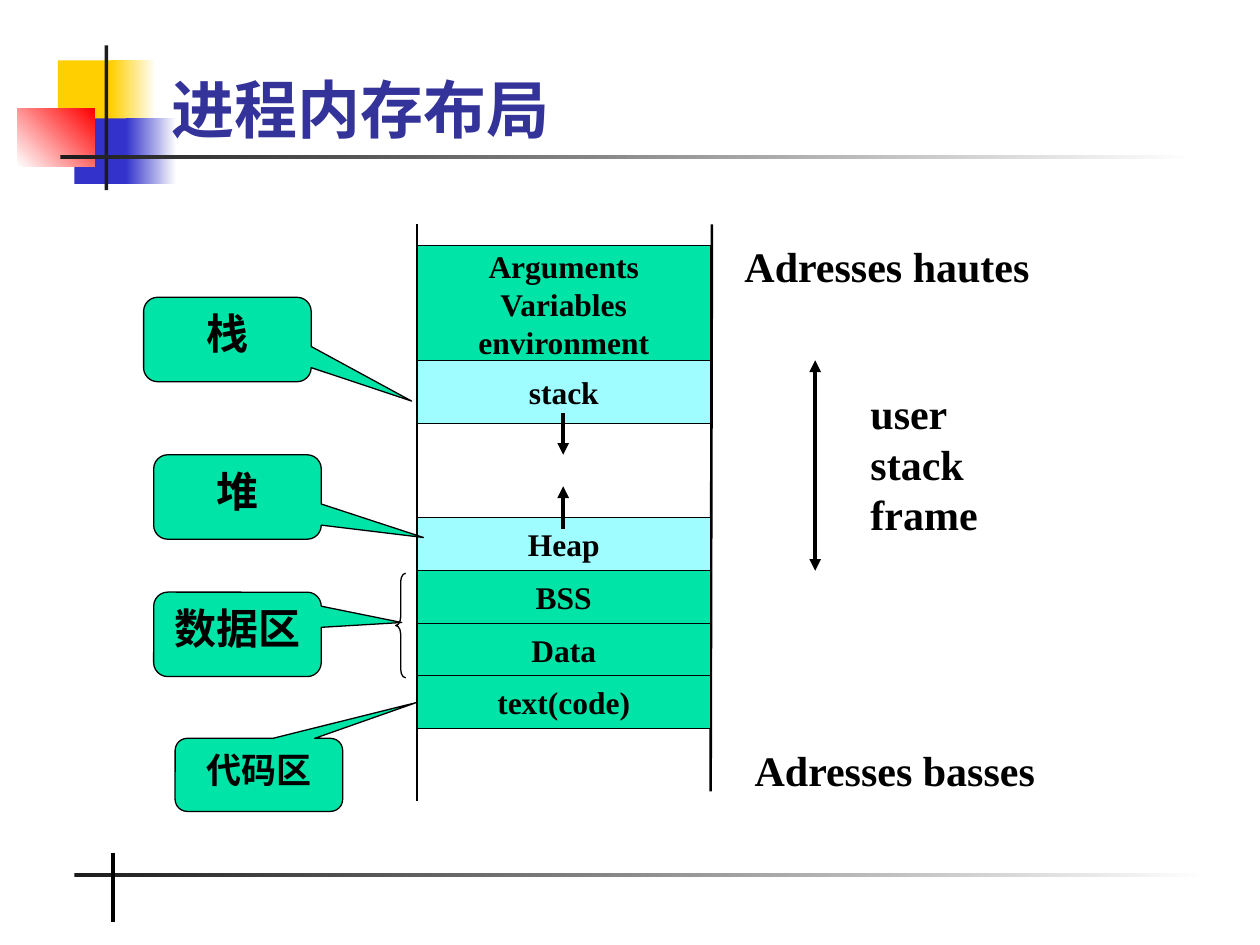
from lxml import etree
from pptx import Presentation
from pptx.dml.color import RGBColor
from pptx.enum import shapes as kinds, text as t
from pptx.oxml.ns import qn
from pptx.util import Inches, Pt

BLACK = RGBColor(0, 0, 0)
WHITE = RGBColor(255, 255, 255)
YELLOW = RGBColor(0xFF, 0xCF, 0x01)
BLUE = RGBColor(0x33, 0x33, 0xCC)
RED = RGBColor(255, 0, 0)
DARK = RGBColor(0x1C, 0x1C, 0x1C)
NAVY = RGBColor(0x33, 0x33, 0x99)
GREEN = RGBColor(0, 0xE4, 0xA8)
CYAN = RGBColor(0x9F, 0xFD, 0xFF)
FONT = "Times New Roman"
KIND = kinds.MSO_SHAPE

TITLE = "进程内存布局"
DECORATION = [
    ((0.46, 0.48, 0.48, 0.52), (YELLOW,), 0),
    ((0.88, 0.48, 0.36, 0.52), (YELLOW, WHITE), 0),
    ((0.59, 0.94, 0.46, 0.52), (BLUE,), 0),
    ((1, 0.94, 0.4, 0.52), (BLUE, WHITE), 0),
    ((0.14, 0.86, 0.61, 0.46), (WHITE, RED), 45),
    ((0.83, 0.36, 0.03, 1.15), (DARK,), 0),
    ((0.48, 1.23, 9, 0.03), (DARK, WHITE), 0),
    ((0.59, 6.93, 9, 0.03), (DARK, WHITE), 0),
]
MEMORY_LEFT, MEMORY_WIDTH = 3.31, 2.33
SEGMENTS = [
    (["Arguments", "Variables", "environment"], 1.95, 0.92, GREEN),
    (["stack"], 2.86, 0.5, CYAN),
    (["Heap"], 4.11, 0.42, CYAN),
    (["BSS"], 4.53, 0.42, GREEN),
    (["Data"], 4.95, 0.42, GREEN),
    (["text(code)"], 5.36, 0.42, GREEN),
]
LABELS = [
    (["Adresses hautes"], (5.81, 1.86, 3.08, 0.5)),
    (["Adresses basses"], (5.89, 5.86, 3.08, 0.5)),
    (["user", "stack", "frame"], (6.81, 3.03, 1.25, 1.3)),
]
WALLS = [((3.31, 1.78), (3.31, 6.36)), ((5.65, 1.78), (5.64, 6.28))]
ARROWS = [
    ((6.47, 2.86), (6.47, 4.53), ("headEnd", "tailEnd")),
    ((4.47, 3.28), (4.47, 3.61), ("tailEnd",)),
    ((4.47, 4.2), (4.47, 3.86), ("tailEnd",)),
]
CALLOUTS = [
    ("代码区", 20, (1.39, 5.86, 1.33, 0.58), (0.94, -0.99)),
    ("数据区", 24, (1.22, 4.7, 1.33, 0.67), (0.98, -0.14)),
    ("栈", 24, (1.14, 2.36, 1.33, 0.67), (1.1, 0.73)),
    ("堆", 24, (1.22, 3.61, 1.33, 0.67), (1.11, 0.48)),
]
BRACE = (3.14, 4.55, 0.08, 0.83)


def inches(values):
    return [Inches(value) for value in values]


def write(shape, lines, size, color=BLACK, align=t.PP_ALIGN.LEFT, **frame_format):
    frame = shape.text_frame
    for name, value in frame_format.items():
        setattr(frame, name, value)
    for index, line in enumerate(lines):
        para = frame.add_paragraph() if index else frame.paragraphs[0]
        para.alignment = align
        span = para.add_run()
        span.text = line
        for name, value in dict(name=FONT, size=Pt(size), bold=True).items():
            setattr(span.font, name, value)
        span.font.color.rgb = color


def add_shape(kind, place, colors=(), angle=0, outlined=True):
    shape = page.shapes.add_shape(kind, *inches(place))
    shape.shadow.inherit = False
    if len(colors) == 2:
        shape.fill.gradient()
        shape.fill.gradient_angle = angle
        for stop, color in zip(shape.fill.gradient_stops, colors):
            stop.color.rgb = color
    elif colors:
        shape.fill.solid()
        shape.fill.fore_color.rgb = colors[0]
    else:
        shape.fill.background()
    if outlined:
        shape.line.color.rgb = BLACK
        shape.line.width = Pt(0.75)
    else:
        shape.line.fill.background()
    return shape


def add_line(start, end, width, heads=()):
    line = page.shapes.add_connector(
        kinds.MSO_CONNECTOR.STRAIGHT, *inches(start + end))
    line.line.color.rgb = BLACK
    line.line.width = Pt(width)
    outline = line.line._get_or_add_ln()
    for head in heads:
        etree.SubElement(outline, qn("a:" + head), type="triangle")
    etree.SubElement(line._element.spPr, qn("a:effectLst"))


deck = Presentation()
deck.slide_width, deck.slide_height = inches((10, 7.5))
page = deck.slides.add_slide(deck.slide_layouts[5])

for place, colors, angle in DECORATION:
    add_shape(KIND.RECTANGLE, place, colors, angle, outlined=False)
add_line((0.9, 6.77), (0.9, 7.32), 2.25)

title = page.shapes.title
title.left, title.top, title.width, title.height = inches((1.26, 0.16, 8.52, 1.05))
write(title, [TITLE], 36, NAVY, vertical_anchor=t.MSO_ANCHOR.BOTTOM)
title._element.getparent().append(title._element)

for start, end in WALLS:
    add_line(start, end, 1.5)
for lines, top, height, color in SEGMENTS:
    segment = add_shape(
        KIND.RECTANGLE, (MEMORY_LEFT, top, MEMORY_WIDTH, height), (color,))
    write(segment, lines, 18, align=t.PP_ALIGN.CENTER, word_wrap=False,
          vertical_anchor=t.MSO_ANCHOR.MIDDLE, margin_left=0, margin_right=0,
          margin_top=0, margin_bottom=0)
for lines, place in LABELS:
    write(page.shapes.add_textbox(*inches(place)), lines, 24, word_wrap=True,
          auto_size=t.MSO_AUTO_SIZE.SHAPE_TO_FIT_TEXT)
for start, end, heads in ARROWS:
    add_line(start, end, 2.25, heads)

brace = add_shape(KIND.LEFT_BRACE, BRACE)
brace.adjustments[0] = 0.83
for name, size, place, tip in CALLOUTS:
    callout = add_shape(KIND.ROUNDED_RECTANGULAR_CALLOUT, place, (GREEN,))
    for index, value in enumerate(tip):
        callout.adjustments[index] = value
    write(callout, [name], size, align=t.PP_ALIGN.CENTER, word_wrap=True,
          vertical_anchor=t.MSO_ANCHOR.TOP)

deck.save("out.pptx")
